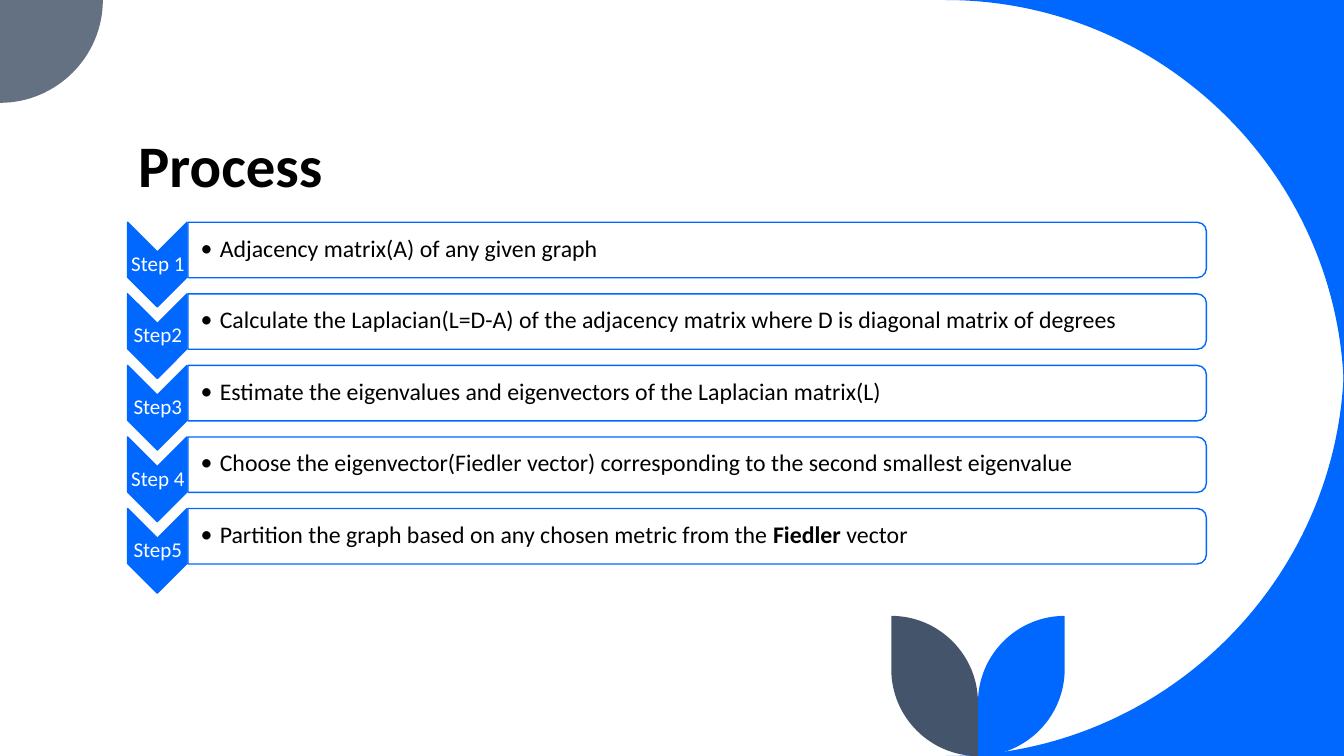
from lxml import etree
from pptx import Presentation
from pptx.dml.color import RGBColor
from pptx.enum.shapes import MSO_SHAPE
from pptx.enum.text import MSO_ANCHOR, MSO_AUTO_SIZE, PP_ALIGN
from pptx.oxml.ns import qn
from pptx.util import Inches, Pt

BLUE = RGBColor(0x00, 0x68, 0xFF)
SLATE = RGBColor(0x44, 0x54, 0x6A)
GREY = RGBColor(0x63, 0x71, 0x83)
BLACK = RGBColor(0, 0, 0)
WHITE = RGBColor(0xFF, 0xFF, 0xFF)
CHEVRON, BAR = MSO_SHAPE.CHEVRON, MSO_SHAPE.ROUND_2_SAME_RECTANGLE
LEFT, CENTER = PP_ALIGN.LEFT, PP_ALIGN.CENTER
BOTTOM, MIDDLE = MSO_ANCHOR.BOTTOM, MSO_ANCHOR.MIDDLE
NO_FIT = MSO_AUTO_SIZE.NONE

WIDTH, HEIGHT = 13.33, 7.5
ROW_PITCH = 0.71
ROUNDNESS = 0.55  # Bezier handle length of a quarter circle

# Each step: label, then text runs as (text, bold)
STEPS = [
    ("Step 1", [("Adjacency matrix(A) of any given graph", False)]),
    ("Step2", [("Calculate the Laplacian(L=D-A) of the adjacency matrix "
                "where D is diagonal matrix of degrees", False)]),
    ("Step3", [("Estimate the eigenvalues and eigenvectors of the "
                "Laplacian matrix(L)", False)]),
    ("Step 4 ", [("Choose the eigenvector(Fiedler vector) corresponding to "
                  "the second smallest eigenvalue", False)]),
    ("Step5", [("Partition the graph based on any chosen metric from the ", False),
               ("Fiedler", True), (" vector", False)]),
]


def quarter(x0, y0, x1, y1, flat_start=False):
    """Two handles and the end of a quarter circle from (x0, y0) to (x1, y1)."""
    dx, dy = ROUNDNESS * (x1 - x0), ROUNDNESS * (y1 - y0)
    if flat_start:
        return [(x0 + dx, y0), (x1, y1 - dy), (x1, y1)]
    return [(x0, y0 + dy), (x1 - dx, y1), (x1, y1)]


class ProcessSlide:
    font_name = "Calibri"

    def __init__(self, presentation):
        self.slide = presentation.slides.add_slide(presentation.slide_layouts[5])
        self.shapes = self.slide.shapes

    def style(self, paragraph, size, color, spacing, bold=None):
        paragraph.line_spacing = spacing
        font = paragraph.font
        font.name, font.size, font.bold = self.font_name, Pt(size), bold
        font.color.rgb = color

    def title(self, text, x, y, w, h):
        title = self.shapes.title
        title.left, title.top, title.width, title.height = map(Inches, (x, y, w, h))
        frame = title.text_frame
        frame.text = text
        frame.auto_size = NO_FIT
        frame.vertical_anchor = BOTTOM
        paragraph = frame.paragraphs[0]
        paragraph.alignment = LEFT
        self.style(paragraph, 42, BLACK, 0.8, bold=True)

    def outline(self, start, segments, color):
        """Closed outline; a segment has one point (line) or three (curve)."""
        builder = self.shapes.build_freeform(*map(Inches, start))
        builder.add_line_segments(
            [(Inches(x), Inches(y)) for segment in segments for x, y in segment])
        shape = builder.convert_to_shape()
        # Join the three points of each curve
        lines = iter(list(shape._element.iter(qn("a:lnTo"))))
        for segment in segments:
            first, *others = [next(lines) for _ in segment]
            if others:
                first.tag = qn("a:cubicBezTo")
                for line in others:
                    first.append(line[0])
                    line.getparent().remove(line)
        shape.shadow.inherit = False
        shape.fill.solid()
        shape.fill.fore_color.rgb = color
        shape.line.fill.background()

    def turned_shape(self, kind, x, y, w, h, fill, opacity=100):
        shape = self.shapes.add_shape(kind, Inches(x), Inches(y), Inches(w), Inches(h))
        shape.rotation = 90
        shape.shadow.inherit = False
        shape.fill.solid()
        shape.fill.fore_color.rgb = fill
        shape.line.color.rgb = BLUE
        shape.line.width = Pt(1)
        if opacity < 100:
            rgb = shape._element.spPr.find(qn("a:solidFill"))[0]
            etree.SubElement(rgb, qn("a:alpha"), val=str(opacity * 1000))

    def text(self, runs, x, y, w, h, size, color, inset=0.01, align=LEFT, bullet=False):
        box = self.shapes.add_textbox(Inches(x), Inches(y), Inches(w), Inches(h))
        frame = box.text_frame
        frame.word_wrap = True
        frame.vertical_anchor = MIDDLE
        frame.margin_left = Inches(inset)
        frame.margin_right = frame.margin_top = frame.margin_bottom = Inches(0.01)
        paragraph = frame.paragraphs[0]
        paragraph.alignment = align
        if bullet:
            paragraph.level = 1
            properties = paragraph._p.get_or_add_pPr()
            properties.set("marL", str(Inches(0.19)))
            properties.set("indent", str(-Inches(0.19)))
            etree.SubElement(properties, qn("a:buFont"), typeface=self.font_name)
            etree.SubElement(properties, qn("a:buChar"), char="•")
        self.style(paragraph, size, color, 0.9)
        for words, bold in runs:
            run = paragraph.add_run()
            run.text = words
            if bold:
                run.font.bold = True


def main():
    presentation = Presentation()
    presentation.slide_width, presentation.slide_height = Inches(WIDTH), Inches(HEIGHT)
    process = ProcessSlide(presentation)

    # Blue corners around the large curve
    radius = 3.95
    curve_x = WIDTH - radius
    for edge, middle in ((0, radius), (HEIGHT, HEIGHT - radius)):
        process.outline((WIDTH, edge), [
            [(curve_x, edge)],
            quarter(curve_x, edge, WIDTH, middle, flat_start=True),
        ], BLUE)

    # Grey quarter circle
    process.outline((0, 0), [[(1.02, 0)], quarter(1.02, 0, 0, 1.02)], GREY)

    # Pair of leaves, mirrored about the stem
    stem, top = 9.7, 6.11
    for tip, color in ((stem + 0.86, BLUE), (stem - 0.86, SLATE)):
        process.outline((tip, top), [
            [(tip, 6.64)],
            quarter(tip, 6.64, stem, HEIGHT),
            [(stem, 6.97)],
            quarter(stem, 6.97, tip, top),
        ], color)

    process.title("Process", 1.27, 0.11, 10.69, 1.91)

    # Step rows: chevron with label, bar with description
    for row, (label, description) in enumerate(STEPS):
        shift = row * ROW_PITCH
        process.turned_shape(CHEVRON, 1.14, 2.33 + shift, 0.84, 0.59, BLUE)
        process.text([(label, False)], 1.27, 2.5 + shift, 0.59, 0.25, 15, WHITE,
                     align=CENTER)
        process.turned_shape(BAR, 6.64, -2.57 + shift, 0.55, 10.1, WHITE, opacity=90)
        process.text(description, 1.86, 2.23 + shift, 10.08, 0.49, 17, BLACK,
                     inset=0.13, bullet=True)

    presentation.save("out.pptx")


if __name__ == "__main__":
    main()
